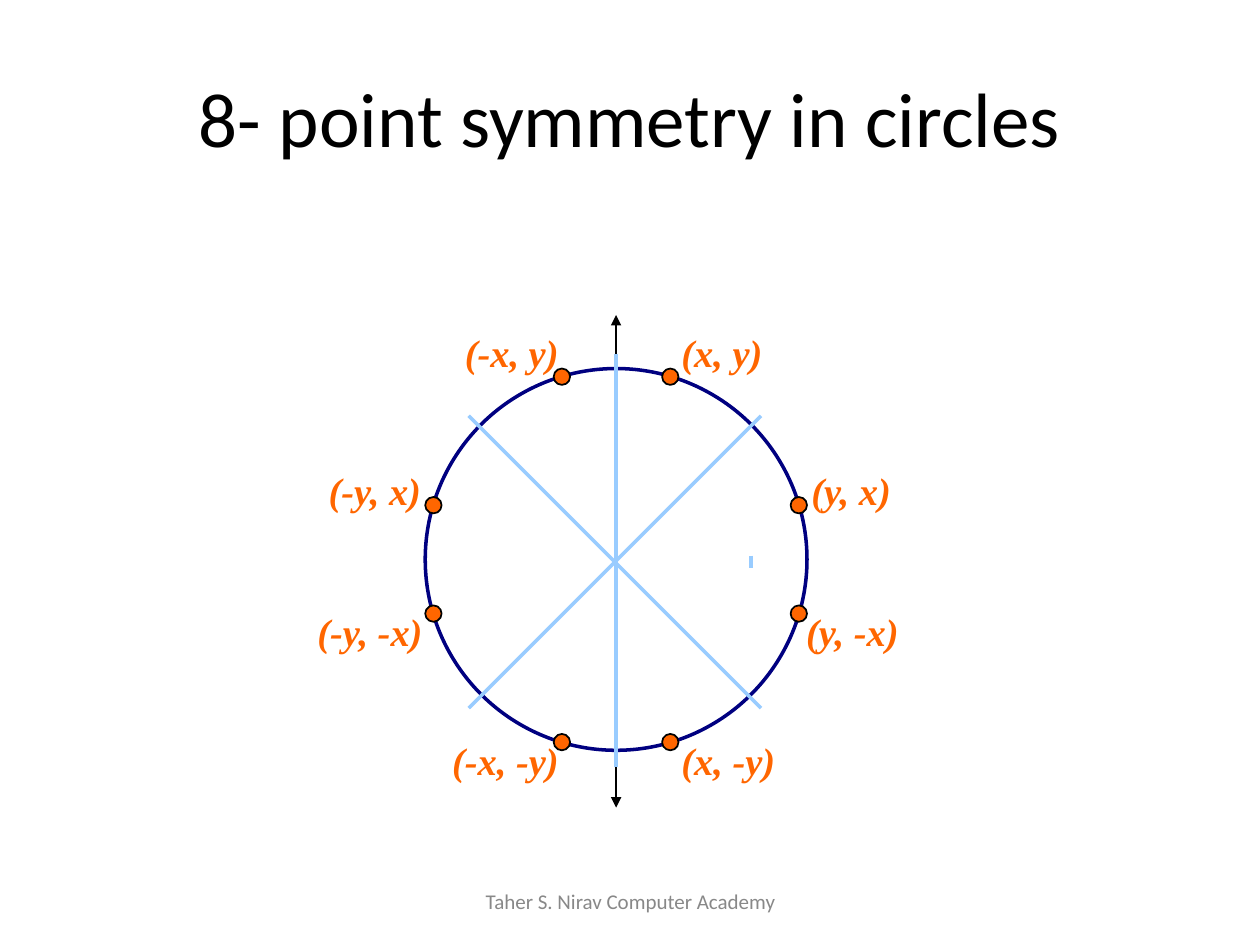
import itertools

import pptx
import pptx.dml.color
import pptx.enum.shapes
import pptx.enum.text
import pptx.oxml
import pptx.oxml.ns
import pptx.util

# The slide is a grid of 100 columns by 75 rows; all lengths count cells.
CELL = pptx.util.Inches(0.1)
COLUMNS, ROWS = 100, 75
COLORS = {
    "title": "000000",
    "axis": "000000",
    "circle": "000080",
    "point": "FF6600",
    "mirror": "99CCFF",
    "footer": "888888",
}
TITLE_FONT = {"name": "Calibri", "size": pptx.util.Pt(44)}
LABEL_FONT = {"name": "Times New Roman", "size": pptx.util.Pt(22),
              "bold": True, "italic": True}
FOOTER_FONT = {"name": "Calibri", "size": pptx.util.Pt(12)}

CENTER_X, CENTER_Y = 48.9, 44.4
RADIUS = 15.15
NEAR, FAR = 4.3, 14.5  # offsets of a point on the circle from its center
POINT_SIZE = 1.3
LABEL_HEIGHT, LABEL_WIDTH, MINUS_WIDTH = 4.7, 8.5, 1
# Top of the row, left label and its right edge, right label and its left edge
LABEL_ROWS = [
    (25.6, "(-x, y)", 45.4, "(x, y)", 53.1),
    (36.6, "(-y, x)", 34.6, "(y, x)", 63.4),
    (47.8, "(-y, -x)", 34.7, "(y, -x)", 63),
    (58, "(-x, -y)", 45.4, "(x, -y)", 53.1),
]
MIRROR_LINES = [
    (37.2, 56.2, 60.4, 33),
    (59.6, 44.1, 59.6, 45.1),
    (60.4, 56.2, 37.2, 33),
    (CENTER_X, 60.6, CENTER_X, 28.1),
    (CENTER_X, 60.9, CENTER_X, 28.4),
]


def cells(*counts):
    return [round(count * CELL) for count in counts]


def rgb(role):
    return pptx.dml.color.RGBColor.from_string(COLORS[role])


def write(frame, text, font_format, role, align, anchor):
    frame.text = text
    frame.vertical_anchor = anchor
    paragraph = frame.paragraphs[0]
    paragraph.alignment = align
    font = paragraph.runs[0].font
    for attribute, value in font_format.items():
        setattr(font, attribute, value)
    font.color.rgb = rgb(role)


def add_title(slide, text):
    title = slide.shapes.title
    title.left, title.top, title.width, title.height = cells(5, 3, 90, 12.5)
    write(title.text_frame, text, TITLE_FONT, "title",
          pptx.enum.text.PP_ALIGN.CENTER, pptx.enum.text.MSO_ANCHOR.MIDDLE)


def add_label(slide, text, left, top, width):
    frame = slide.shapes.add_textbox(
        *cells(left, top, width, LABEL_HEIGHT)).text_frame
    frame.word_wrap = False
    write(frame, text, LABEL_FONT, "point",
          pptx.enum.text.PP_ALIGN.LEFT, pptx.enum.text.MSO_ANCHOR.TOP)


def add_footer(slide, text):
    frame = slide.shapes.add_textbox(*cells(34.2, 69.5, 31.7, 4)).text_frame
    frame.word_wrap = True
    write(frame, text, FOOTER_FONT, "footer",
          pptx.enum.text.PP_ALIGN.CENTER, pptx.enum.text.MSO_ANCHOR.MIDDLE)


def add_disc(slide, x, y, size, line_role, line_width, fill_role=None):
    """Add a round shape centered on (x, y)."""
    disc = slide.shapes.add_shape(
        pptx.enum.shapes.MSO_SHAPE.OVAL,
        *cells(x - size / 2, y - size / 2, size, size))
    disc.shadow.inherit = False
    if fill_role:
        disc.fill.solid()
        disc.fill.fore_color.rgb = rgb(fill_role)
    else:
        disc.fill.background()
    disc.line.color.rgb = rgb(line_role)
    disc.line.width = pptx.util.Pt(line_width)


def add_line(slide, ends, role, width, arrows=False):
    line = slide.shapes.add_connector(
        pptx.enum.shapes.MSO_CONNECTOR.STRAIGHT, *cells(*ends))
    line.line.color.rgb = rgb(role)
    line.line.width = pptx.util.Pt(width)
    if arrows:
        outline = line.line._get_or_add_ln()
        for tag in ("a:headEnd", "a:tailEnd"):
            end = pptx.oxml.parse_xml(
                f'<{tag} {pptx.oxml.ns.nsdecls("a")} type="triangle"/>')
            outline.append(end)
    line._element.spPr.append(pptx.oxml.parse_xml(
        f'<a:effectLst {pptx.oxml.ns.nsdecls("a")}/>'))


def add_points(slide):
    """Mirror one point of the circle into all eight octants."""
    for offset_x, offset_y in [(NEAR, FAR), (FAR, NEAR)]:
        for sign_x, sign_y in itertools.product((1, -1), repeat=2):
            add_disc(slide, CENTER_X + sign_x * offset_x,
                     CENTER_Y + sign_y * offset_y,
                     POINT_SIZE, "axis", 1, "point")


def add_point_labels(slide):
    for top, left_text, right_edge, right_text, left_edge in LABEL_ROWS:
        left_width, right_width = (
            LABEL_WIDTH + MINUS_WIDTH * text.count("-")
            for text in (left_text, right_text))
        add_label(slide, left_text, right_edge - left_width, top, left_width)
        add_label(slide, right_text, left_edge, top, right_width)


def main():
    presentation = pptx.Presentation()
    presentation.slide_width, presentation.slide_height = cells(COLUMNS, ROWS)
    slide = presentation.slides.add_slide(
        presentation.slide_layouts.get_by_name("Title Only"))
    add_title(slide, "8- point symmetry in circles")
    add_line(slide, (CENTER_X, 64.1, CENTER_X, 25), "axis", 1, arrows=True)
    add_disc(slide, CENTER_X, CENTER_Y, 2 * RADIUS, "circle", 2)
    add_points(slide)
    add_point_labels(slide)
    for ends in MIRROR_LINES:
        add_line(slide, ends, "mirror", 2)
    add_footer(slide, "Taher S. Nirav Computer Academy")
    presentation.save("out.pptx")


if __name__ == "__main__":
    main()
